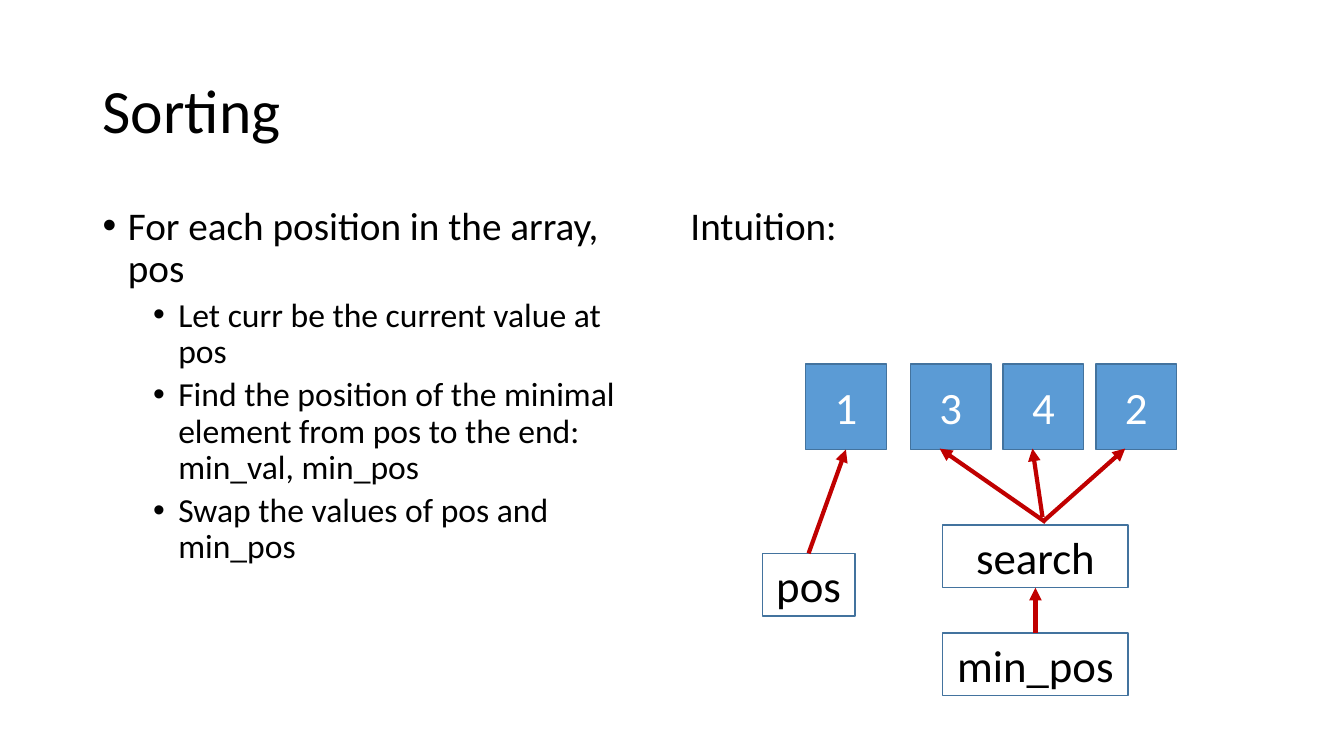
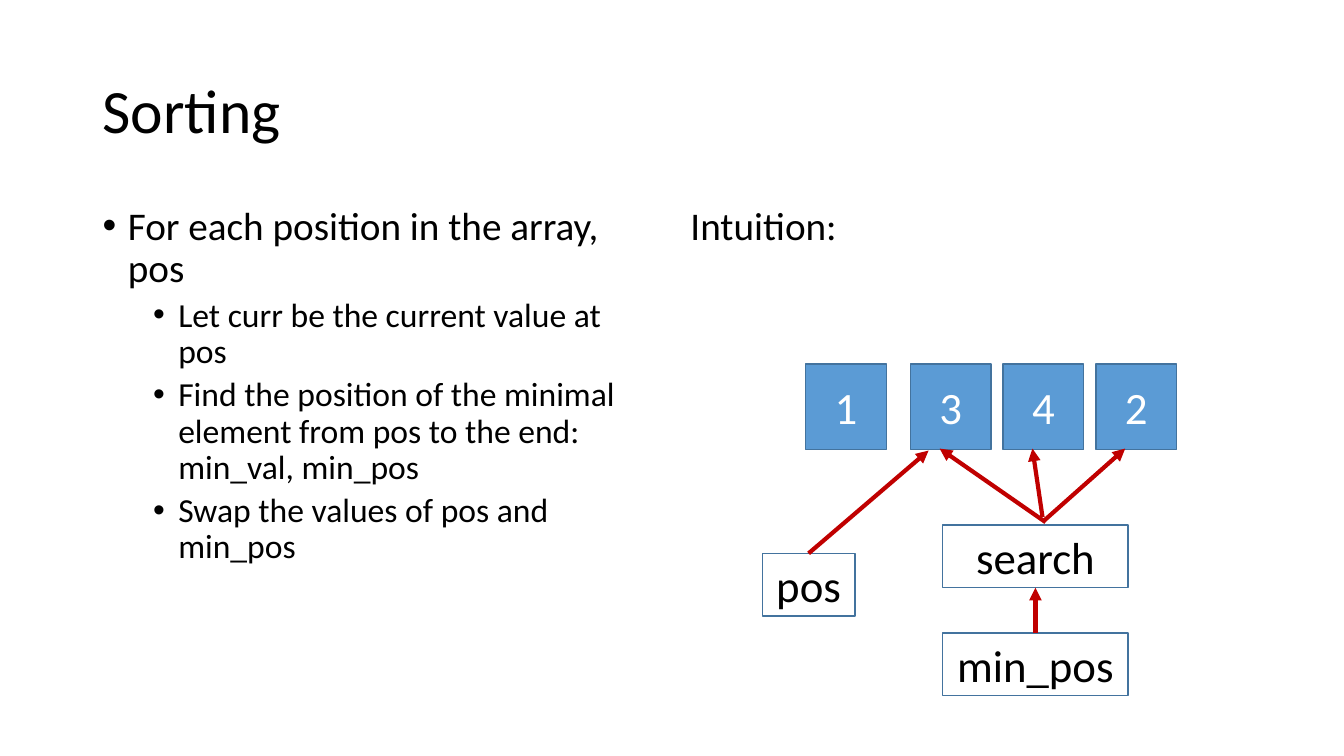
from dataclasses import dataclass
from typing import Any

from lxml.etree import SubElement
from pptx import Presentation
from pptx.dml.color import RGBColor
from pptx.enum.shapes import MSO_CONNECTOR, MSO_SHAPE
from pptx.enum.text import MSO_ANCHOR, PP_ALIGN
from pptx.oxml.ns import qn
from pptx.slide import Slide
from pptx.util import Emu, Pt

EMU_PER_PX = 9144  # 100 px to the inch
FONT = "Calibri"
BLACK = RGBColor(0x00, 0x00, 0x00)
WHITE = RGBColor(0xFF, 0xFF, 0xFF)
BLUE = RGBColor(0x5B, 0x9B, 0xD5)
DARK_BLUE = RGBColor(0x43, 0x73, 0x9E)
RED = RGBColor(0xC0, 0x00, 0x00)


@dataclass(frozen=True)
class Area:
    left: int
    top: int
    width: int
    height: int

    def emu(self) -> tuple[Emu, ...]:
        return tuple(px(n) for n in (self.left, self.top, self.width, self.height))


@dataclass(frozen=True)
class Line:
    text: str
    size: int
    indent: int = 0
    hanging: int = 0
    space_before: int = 0


@dataclass(frozen=True)
class Box:
    text: str
    area: Area
    fill: RGBColor = WHITE
    color: RGBColor = BLACK


@dataclass(frozen=True)
class Arrow:
    start: tuple[int, int]
    end: tuple[int, int]


# Text shared by both slides
TITLE_AREA = Area(92, 40, 1150, 145)
STEPS_AREA = Area(92, 200, 567, 476)
INTUITION_AREA = Area(675, 200, 567, 476)
TITLE = [Line("Sorting", 44)]
INTUITION = [Line("Intuition:", 28)]
STEPS = [Line("For each position in the array, pos", 28, 25, 25)] + [
    Line(text, 24, 75, 25, 5)
    for text in (
        "Let curr be the current value at pos",
        "Find the position of the minimal element from pos to the end: min_val, min_pos",
        "Swap the values of pos and min_pos",
    )
]

# Array cells: the first stands apart, the rest follow at an equal pitch
CELL_TOP, CELL_WIDTH, CELL_HEIGHT = 361, 80, 85
FIRST_LEFT, REST_LEFT, CELL_PITCH = 799, 903, 92
REST = ("3", "4", "2")
CELL_LEFTS = [FIRST_LEFT] + [REST_LEFT + i * CELL_PITCH for i in range(len(REST))]
CELLS = [
    Box(value, Area(left, CELL_TOP, CELL_WIDTH, CELL_HEIGHT), BLUE, WHITE)
    for value, left in zip(("1", *REST), CELL_LEFTS)
]

# Labels and the arrows that stay in place
LABELS = [
    Box("pos", Area(756, 549, 92, 62)),
    Box("min_pos", Area(935, 628, 184, 62)),
    Box("search", Area(935, 521, 184, 62)),
]
SEARCH_STARTS = ((1037, 518), (1034, 513), (1035, 517))
ARROWS = [Arrow((1027, 628), (1027, 583))] + [
    Arrow(start, (932 + i * CELL_PITCH, 445)) for i, start in enumerate(SEARCH_STARTS)
]

# Only the target of the pos arrow changes from slide to slide
POS_START = (802, 549)
POS_TARGETS = ((839, 446), (921, 447))


def px(length: int) -> Emu:
    return Emu(length * EMU_PER_PX)


def apply(target: Any, values: dict[str, Any]) -> None:
    for name, value in values.items():
        setattr(target, name, value)


def font_format(paragraph: Any, size: int, color: RGBColor) -> None:
    apply(paragraph.font, {"name": FONT, "size": Pt(size)})
    paragraph.font.color.rgb = color


def add_text(slide: Slide, area: Area, lines: list[Line], anchor: MSO_ANCHOR) -> None:
    frame = slide.shapes.add_textbox(*area.emu()).text_frame
    apply(frame, {"word_wrap": True, "vertical_anchor": anchor})
    for index, line in enumerate(lines):
        paragraph = frame.add_paragraph() if index else frame.paragraphs[0]
        if line.hanging:
            properties = paragraph._p.get_or_add_pPr()
            properties.set("marL", str(px(line.indent)))
            properties.set("indent", str(-px(line.hanging)))
            SubElement(properties, qn("a:buFont"), typeface="Arial")
            SubElement(properties, qn("a:buChar"), char="•")
        values = {"text": line.text, "line_spacing": 0.9, "space_before": Pt(line.space_before)}
        apply(paragraph, values)
        font_format(paragraph, line.size, BLACK)


def add_box(slide: Slide, box: Box) -> None:
    shape = slide.shapes.add_shape(MSO_SHAPE.RECTANGLE, *box.area.emu())
    shape.shadow.inherit = False
    shape.fill.solid()
    shape.fill.fore_color.rgb = box.fill
    shape.line.color.rgb = DARK_BLUE
    shape.line.width = Pt(1)
    apply(shape.text_frame, {"word_wrap": True, "vertical_anchor": MSO_ANCHOR.MIDDLE})
    paragraph = shape.text_frame.paragraphs[0]
    apply(paragraph, {"text": box.text, "alignment": PP_ALIGN.CENTER})
    font_format(paragraph, 32, box.color)


def add_arrow(slide: Slide, arrow: Arrow) -> None:
    ends = [px(n) for n in (*arrow.start, *arrow.end)]
    connector = slide.shapes.add_connector(MSO_CONNECTOR.STRAIGHT, *ends)
    connector.line.color.rgb = RED
    connector.line.width = Pt(3)
    SubElement(connector.line._get_or_add_ln(), qn("a:tailEnd"), type="triangle")
    SubElement(connector._element.spPr, qn("a:effectLst"))


def add_sorting_slide(presentation: Any, pos_target: tuple[int, int]) -> None:
    slide = presentation.slides.add_slide(presentation.slide_layouts[6])
    add_text(slide, TITLE_AREA, TITLE, MSO_ANCHOR.MIDDLE)
    add_text(slide, STEPS_AREA, STEPS, MSO_ANCHOR.TOP)
    add_text(slide, INTUITION_AREA, INTUITION, MSO_ANCHOR.TOP)
    for box in CELLS + LABELS:
        add_box(slide, box)
    for arrow in [Arrow(POS_START, pos_target), *ARROWS]:
        add_arrow(slide, arrow)


def main() -> None:
    presentation = Presentation()
    apply(presentation, {"slide_width": px(1333), "slide_height": px(750)})
    for pos_target in POS_TARGETS:
        add_sorting_slide(presentation, pos_target)
    presentation.save("out.pptx")


if __name__ == "__main__":
    main()
